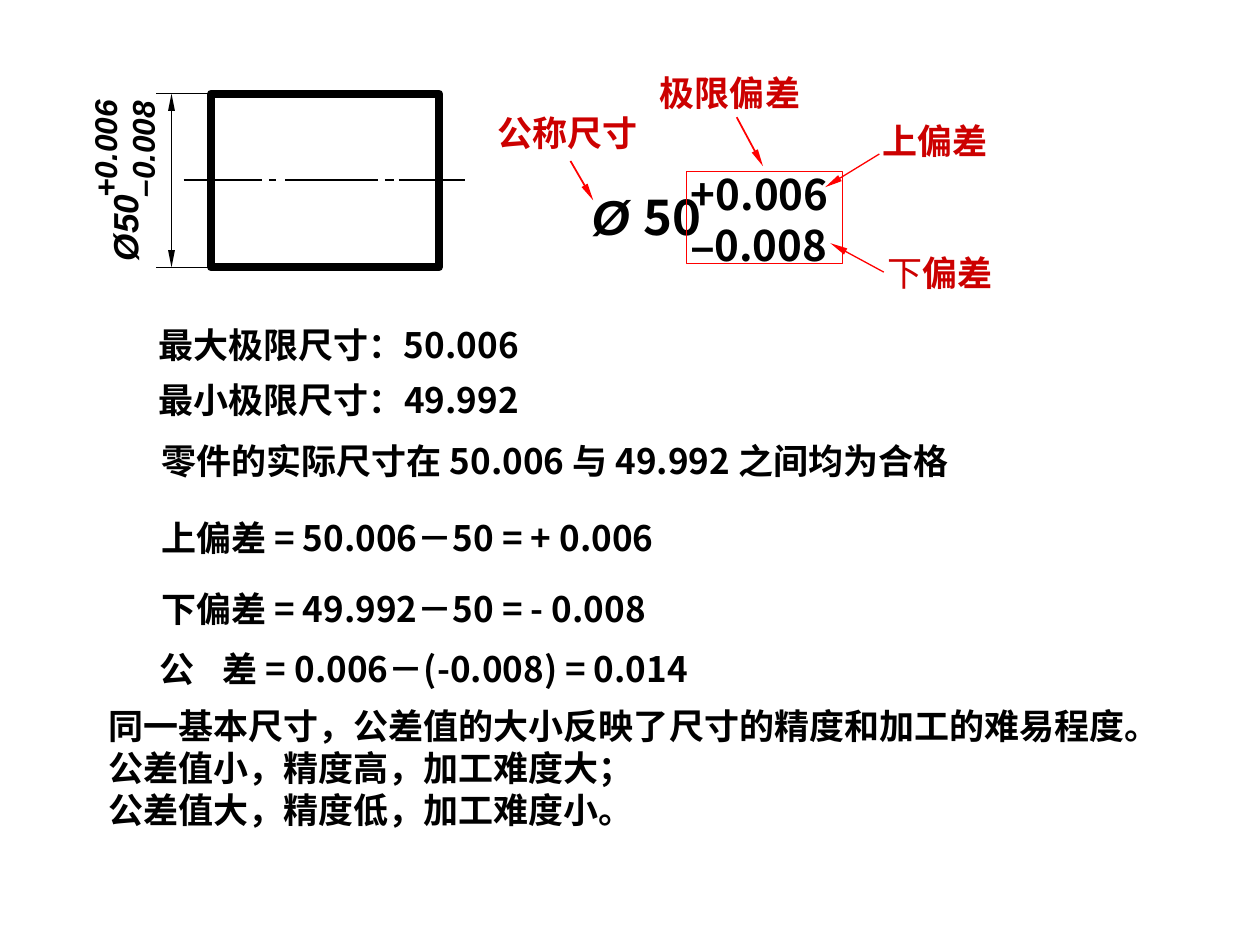
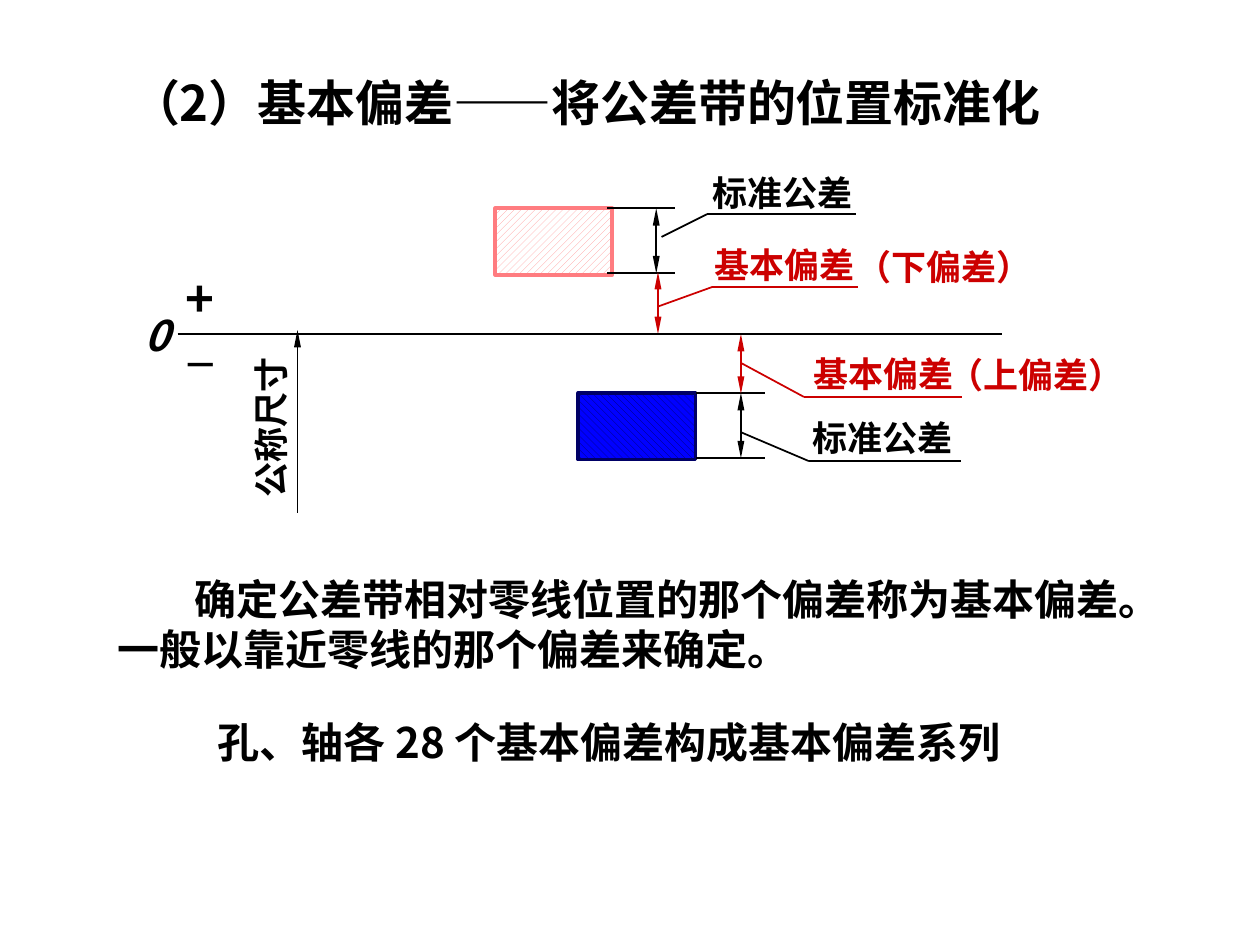
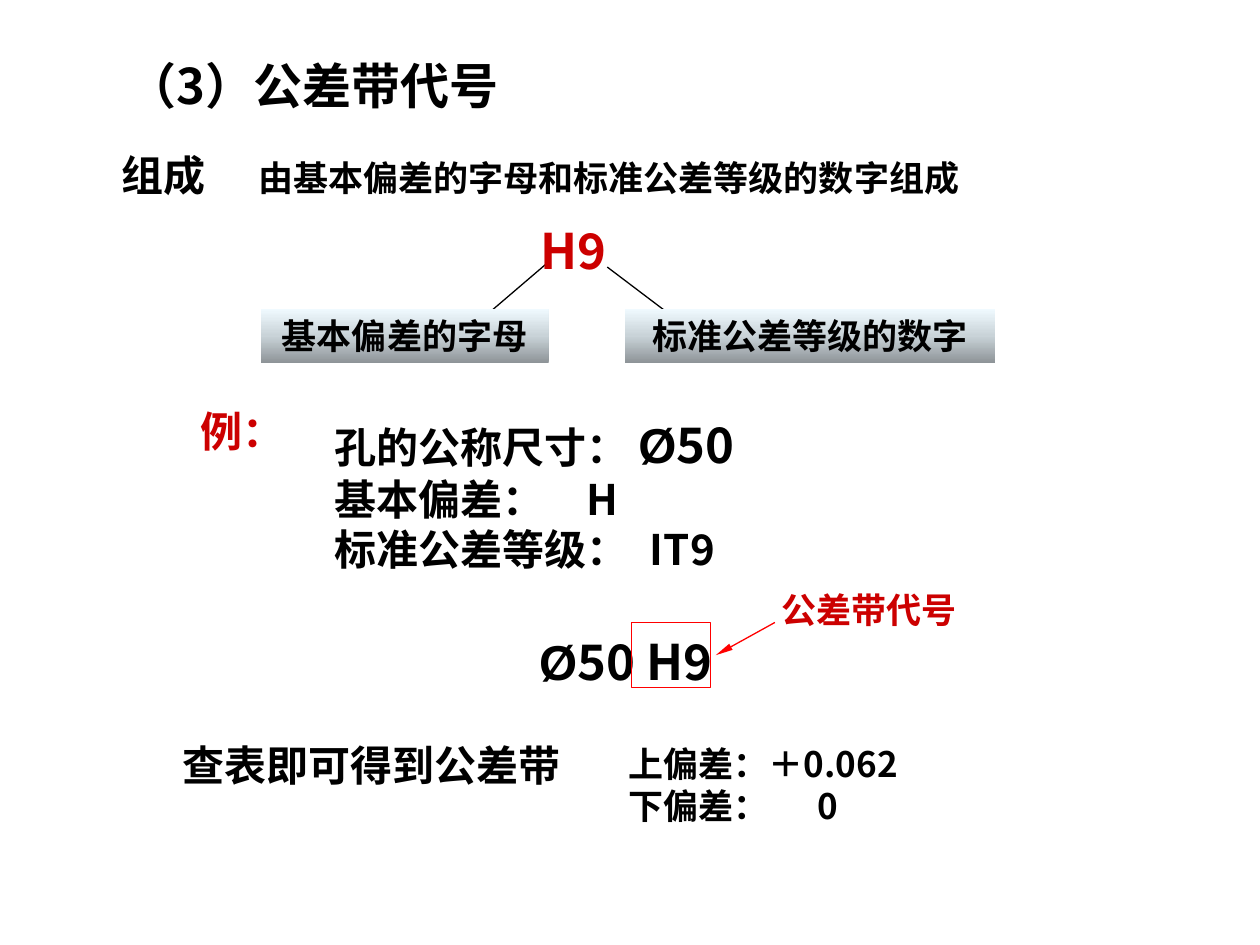
from copy import deepcopy
from dataclasses import dataclass
from typing import NamedTuple, Optional, Sequence, Union

from lxml import etree
from pptx import Presentation
from pptx.dml.color import RGBColor
from pptx.enum.dml import MSO_PATTERN
from pptx.enum.shapes import MSO_CONNECTOR, MSO_SHAPE
from pptx.enum.text import MSO_ANCHOR, MSO_AUTO_SIZE, PP_ALIGN
from pptx.oxml.ns import qn
from pptx.util import Pt

LEFT, CENTER = PP_ALIGN.LEFT, PP_ALIGN.CENTER
TOP, MIDDLE = MSO_ANCHOR.TOP, MSO_ANCHOR.MIDDLE
UP_HATCH = MSO_PATTERN.WIDE_UPWARD_DIAGONAL
DOWN_HATCH = MSO_PATTERN.WIDE_DOWNWARD_DIAGONAL
RECTANGLE, STRAIGHT = MSO_SHAPE.RECTANGLE, MSO_CONNECTOR.STRAIGHT
TITLE_ONLY, BLANK = 5, 6


# Theme: colours, fonts and type sizes
@dataclass(frozen=True)
class Theme:
    black: str = "000000"
    white: str = "FFFFFF"
    accent: str = "CC0000"
    marker: str = "FF0000"
    hole_hatch: str = "FF9999"
    hole_edge: str = "FF7C80"
    shaft_fill: str = "0000FF"
    shaft_edge: str = "000066"
    plate: tuple = ((0, "8E9498"), (0.5, "C9D3D8"), (1, "F0FAFF"))
    cjk: str = "Noto Sans CJK SC"
    sans: str = "Arial"
    serif: str = "Times New Roman"
    title: int = 28
    lead: int = 24
    body: int = 20
    dimension: int = 18
    leading: float = 1.2


THEME = Theme()


class Box(NamedTuple):
    left: float
    top: float
    width: float
    height: float = 31


class Point(NamedTuple):
    x: float
    y: float


class Run(NamedTuple):
    text: str
    font: Optional[str] = None
    size: Optional[float] = None
    bold: Optional[bool] = None
    italic: Optional[bool] = None


Paragraph = Union[str, Sequence[Run]]


class Label(NamedTuple):
    text: str
    box: Box


@dataclass(frozen=True)
class Leader:
    """A callout line with a label above its shelf."""
    label: Label
    tip: Point
    elbow: Point
    end_x: float
    color: str


@dataclass(frozen=True)
class ToleranceZone:
    box: Box
    pattern: MSO_PATTERN
    hatch: str
    ground: str
    edge: str
    extension: tuple
    tolerance_x: float
    deviation_x: float
    deviation: tuple


# Shared drawing functions
def rgb(value: str) -> RGBColor:
    return RGBColor.from_string(value)


def points(values: Sequence[float]) -> list:
    return [Pt(value) for value in values]


def write_text(frame, *paragraphs: Paragraph, size: float = THEME.body,
               color: str = THEME.black, font: str = THEME.cjk,
               bold: bool = True, italic: bool = False, align=LEFT,
               anchor=TOP, wrap: bool = True, margin: float = 0,
               first_indent: float = 0, tabs: Sequence[float] = ()) -> None:
    frame.auto_size = MSO_AUTO_SIZE.NONE
    frame.word_wrap = wrap
    frame.vertical_anchor = anchor
    for number, content in enumerate(paragraphs):
        paragraph = frame.add_paragraph() if number else frame.paragraphs[0]
        runs = [Run(content)] if isinstance(content, str) else content
        paragraph.alignment = align
        paragraph.line_spacing = Pt(
            THEME.leading * max(run.size or size for run in runs))
        properties = paragraph._p.get_or_add_pPr()
        properties.set("marL", str(Pt(margin)))
        properties.set("indent", str(Pt(first_indent)))
        if tabs:
            tab_list = etree.SubElement(properties, qn("a:tabLst"))
            for position in tabs:
                etree.SubElement(tab_list, qn("a:tab"),
                                 pos=str(Pt(position)), algn="l")
        for part in runs:
            run = paragraph.add_run()
            run.text = part.text
            run.font.size = Pt(part.size or size)
            run.font.bold = bold if part.bold is None else part.bold
            run.font.italic = italic if part.italic is None else part.italic
            run.font.color.rgb = rgb(color)
            run.font.name = part.font or font
            etree.SubElement(run._r.get_or_add_rPr(), qn("a:ea"),
                             typeface=THEME.cjk)


def add_text(slide, box: Box, *paragraphs: Paragraph, rotation: float = 0,
             **text_format) -> None:
    holder = slide.shapes.add_textbox(*points(box))
    holder.rotation = rotation
    write_text(holder.text_frame, *paragraphs, **text_format)


def add_labels(slide, labels: Sequence[Label], **text_format) -> None:
    for label in labels:
        add_text(slide, label.box, label.text, **text_format)


def add_line(slide, start: Point, end: Point, color: str = THEME.black,
             width: float = 1, head: bool = False, tail: bool = False) -> None:
    line = slide.shapes.add_connector(STRAIGHT, *points((*start, *end)))
    line.line.color.rgb = rgb(color)
    line.line.width = Pt(width)
    outline = line.line._get_or_add_ln()
    for tag, wanted in (("a:headEnd", head), ("a:tailEnd", tail)):
        if wanted:
            etree.SubElement(outline, qn(tag), type="triangle", w="sm", len="lg")
    etree.SubElement(line._element.spPr, qn("a:effectLst"))


def add_rectangle(slide, box: Box, edge: Optional[str] = None,
                  width: float = 0.75):
    rectangle = slide.shapes.add_shape(RECTANGLE, *points(box))
    rectangle.shadow.inherit = False
    rectangle.fill.background()
    if edge:
        rectangle.line.color.rgb = rgb(edge)
        rectangle.line.width = Pt(width)
    else:
        rectangle.line.fill.background()
    return rectangle


def add_plate(slide, label: Label) -> None:
    plate = add_rectangle(slide, label.box)
    plate.fill.gradient()
    plate.fill.gradient_angle = 90
    stops = plate._element.spPr.find(".//" + qn("a:gsLst"))
    stops.insert(1, deepcopy(stops[0]))
    for stop, (position, color) in zip(plate.fill.gradient_stops, THEME.plate):
        stop.position = position
        stop.color.rgb = rgb(color)
    write_text(plate.text_frame, label.text, font=THEME.serif, align=CENTER)


def add_leader(slide, leader: Leader) -> None:
    add_line(slide, leader.tip, leader.elbow, leader.color)
    add_line(slide, leader.elbow, Point(leader.end_x, leader.elbow.y),
             leader.color)
    add_labels(slide, [leader.label], color=leader.color, align=CENTER,
               anchor=MIDDLE)


def add_zone(slide, zone: ToleranceZone) -> None:
    bar = add_rectangle(slide, zone.box, zone.edge, 2.25)
    bar.fill.patterned()
    bar.fill.pattern = zone.pattern
    bar.fill.fore_color.rgb = rgb(zone.hatch)
    bar.fill.back_color.rgb = rgb(zone.ground)
    top, bottom = zone.box.top, zone.box.top + zone.box.height - 0.8
    for y in (top, bottom):
        add_line(slide, *(Point(x, y) for x in zone.extension))
    add_line(slide, Point(zone.tolerance_x, top),
             Point(zone.tolerance_x, bottom), head=True, tail=True)
    add_line(slide, *(Point(zone.deviation_x, y) for y in zone.deviation),
             THEME.accent, head=True, tail=True)


def add_titled_slide(deck, title: str, box: Box):
    slide = deck.slides.add_slide(deck.slide_layouts[TITLE_ONLY])
    heading = slide.shapes.title
    heading.left, heading.top, heading.width, heading.height = points(box)
    write_text(heading.text_frame, title, size=THEME.title, anchor=MIDDLE)
    return slide


# Slide 1: limit deviations of a shaft
def build_limits(deck) -> None:
    slide = deck.slides.add_slide(deck.slide_layouts[BLANK])

    # Dimensioned shaft
    shaft_top, shaft_bottom, axis_y, dimension_x = 53.5, 152.8, 103, 98
    for y in (shaft_top, shaft_bottom):
        add_line(slide, Point(120, y), Point(89, y), width=0.75)
    add_line(slide, Point(dimension_x, shaft_bottom),
             Point(dimension_x, shaft_top), width=0.75, head=True, tail=True)
    add_text(slide, Box(42.5, 112.3, 57), "Ø50", font=THEME.sans, italic=True,
             rotation=270)
    add_text(slide, Box(31.7, 59.8, 77.8, 50.4), "+0.006", "–0.008",
             size=THEME.dimension, font=THEME.sans, italic=True, margin=4,
             rotation=270)
    add_rectangle(slide, Box(120.6, shaft_top, 130.3, 99.3), THEME.black, 4.5)
    for start, end in ((105, 150), (154, 158), (163, 216), (220, 225),
                       (228, 266)):
        add_line(slide, Point(start, axis_y), Point(end, axis_y))

    # Enlarged dimension with its callouts
    add_text(slide, Box(331, 103, 83, 41),
             [Run("Ø ", THEME.sans, italic=True), Run("50")], size=THEME.title)
    add_text(slide, Box(382.3, 92.9, 111.6, 64.8), "+0.006",
             [Run("–", THEME.sans), Run("0.008")], size=THEME.lead, margin=5.4)
    add_rectangle(slide, Box(392.5, 98, 89, 52.5), THEME.marker)
    add_labels(slide, [
        Label("公称尺寸", Box(277, 60, 117)),
        Label("上偏差", Box(497, 65, 84)),
        Label("极限偏差", Box(370, 37.5, 99)),
    ], color=THEME.accent)
    add_text(slide, Box(500, 140, 86), [Run("下", bold=False), Run("偏差")],
             color=THEME.accent)
    for start, end, width in (
            (Point(421, 67), Point(436, 95), 1),
            (Point(326, 92), Point(339, 114.5), 1),
            (Point(502.5, 88), Point(471.5, 107), 0.75),
            (Point(505, 155.5), Point(474.5, 139), 0.75)):
        add_line(slide, start, end, THEME.marker, width, tail=True)

    # Calculations and conclusion
    add_labels(slide, [
        Label("最大极限尺寸：50.006", Box(83.5, 181.5, 297)),
        Label("最小极限尺寸：49.992", Box(83.5, 213, 273)),
        Label("零件的实际尺寸在 50.006 与 49.992 之间均为合格",
              Box(85, 247.7, 495)),
        Label("上偏差 = 50.006－50 = + 0.006", Box(85, 291.6, 326)),
        Label("下偏差 = 49.992－50 = - 0.008", Box(85, 332, 320)),
        Label("公\t差 = 0.006－(-0.008) = 0.014", Box(84.3, 366.5, 397)),
    ], tabs=(29.5,))
    add_text(slide, Box(36.7, 399, 647, 79),
             "同一基本尺寸，公差值的大小反映了尺寸的精度和加工的难易程度。",
             "公差值小，精度高，加工难度大；",
             "公差值大，精度低，加工难度小。", anchor=MIDDLE, margin=18)


# Slide 2: fundamental deviation
def build_deviation(deck) -> None:
    slide = add_titled_slide(deck, "（2）基本偏差——将公差带的位置标准化",
                             Box(67.7, 37.5, 586, 41))
    zero_y, size_x = 190.8, 170

    # Hole and shaft tolerance zones
    for zone in (
            ToleranceZone(Box(283, 119, 67, 38), UP_HATCH, THEME.hole_hatch,
                          THEME.white, THEME.hole_edge, (347, 386), 375, 376,
                          (155.5, zero_y)),
            ToleranceZone(Box(330.5, 224.6, 67, 38), DOWN_HATCH,
                          THEME.shaft_edge, THEME.shaft_fill, THEME.shaft_edge,
                          (398, 437), 423.4, 423.4, (zero_y, 225))):
        add_zone(slide, zone)

    # Callouts
    for leader in (
            Leader(Label("基本偏差", Box(399, 135.4, 98.6)),
                   Point(376.5, 175), Point(407, 164), 490.3, THEME.accent),
            Leader(Label("基本偏差", Box(456.5, 198, 96.5)),
                   Point(423.4, 207.4), Point(459.4, 226.8), 550, THEME.accent),
            Leader(Label("标准公差", Box(397.5, 94.3, 99.4)),
                   Point(378, 135.4), Point(404, 122.4), 489, THEME.black),
            Leader(Label("标准公差", Box(441.4, 234.7, 126)),
                   Point(423.4, 247), Point(462.2, 263.5), 549.4, THEME.black)):
        add_leader(slide, leader)
    add_labels(slide, [
        Label("（下偏差）", Box(477.4, 136.8, 124.6)),
        Label("（上偏差）", Box(530.6, 198.7, 123)),
    ], color=THEME.accent, align=CENTER, anchor=MIDDLE)

    # Zero line and nominal size
    add_line(slide, Point(101.5, zero_y), Point(572.4, zero_y))
    add_line(slide, Point(size_x, 293), Point(size_x, 188.6), tail=True)
    add_text(slide, Box(80, 201, 149, 31.7), "公称尺寸", anchor=MIDDLE,
             rotation=270)
    add_text(slide, Box(100, 150, 29, 74), "+", [Run("–", THEME.serif)],
             size=THEME.title, align=CENTER, anchor=MIDDLE, wrap=False)
    add_text(slide, Box(70, 173, 39, 36), "0", size=THEME.lead, italic=True,
             align=CENTER, anchor=MIDDLE)

    # Definition
    add_text(slide, Box(59.8, 324, 613, 65),
             "确定公差带相对零线位置的那个偏差称为基本偏差。"
             "一般以靠近零线的那个偏差来确定。",
             size=THEME.lead, font=THEME.serif, first_indent=44)
    add_text(slide, Box(117.4, 406, 544, 36),
             "孔、轴各 28 个基本偏差构成基本偏差系列", size=THEME.lead)


# Slide 3: tolerance zone code
def build_code(deck) -> None:
    slide = add_titled_slide(deck, "（3）公差带代号", Box(65.5, 28, 257, 41))

    # Composition of the code
    add_text(slide, Box(62.6, 82, 83.5, 36), "组成", size=THEME.lead,
             font=THEME.serif)
    add_text(slide, Box(140.4, 85.7, 483), "由基本偏差的字母和标准公差等级的数字组成",
             font=THEME.serif)
    add_line(slide, Point(382.3, 179.3), Point(347, 152.6), width=0.75)
    add_line(slide, Point(312.5, 150.5), Point(281.5, 177), width=0.75)
    add_text(slide, Box(295.2, 122.4, 220, 41), "H9", size=THEME.title,
             color=THEME.accent, margin=6.3)
    for label in (Label("基本偏差的字母", Box(149, 176.4, 164.5)),
                  Label("标准公差等级的数字", Box(357, 176.4, 211.7))):
        add_plate(slide, label)

    # Worked example
    add_text(slide, Box(107.3, 228.2, 89.3, 36), "例：", size=THEME.lead,
             color=THEME.accent, font=THEME.serif)
    add_text(slide, Box(184.3, 233.3, 269.3, 99.4),
             [Run("孔的公称尺寸： "), Run("Ø", THEME.sans, THEME.title),
              Run("50", size=THEME.title)],
             "基本偏差：\tH", "标准公差等级：\tIT9",
             size=THEME.lead, tabs=(163.5, 184))
    add_text(slide, Box(298.8, 357, 117.4, 41),
             [Run("Ø", THEME.sans), Run("50 H9")], size=THEME.title,
             align=CENTER, anchor=MIDDLE)
    add_rectangle(slide, Box(360.7, 355.7, 45.4, 37.4), THEME.marker)
    add_line(slide, Point(442.8, 355.7), Point(409, 374.4), THEME.marker, 0.75,
             tail=True)
    add_text(slide, Box(439.2, 332.6, 173.5), "公差带代号", color=THEME.accent,
             font=THEME.serif)

    # Values from the table
    add_text(slide, Box(97.2, 419, 230.4, 36), "查表即可得到公差带",
             size=THEME.lead, wrap=False)
    add_text(slide, Box(352, 420.5, 259, 55.4), "上偏差：＋0.062", "下偏差：\t0",
             tabs=(93.5,))


def main() -> None:
    deck = Presentation()
    deck.slide_width, deck.slide_height = Pt(720), Pt(540)
    for build in (build_limits, build_deviation, build_code):
        build(deck)
    deck.save("out.pptx")


if __name__ == "__main__":
    main()
